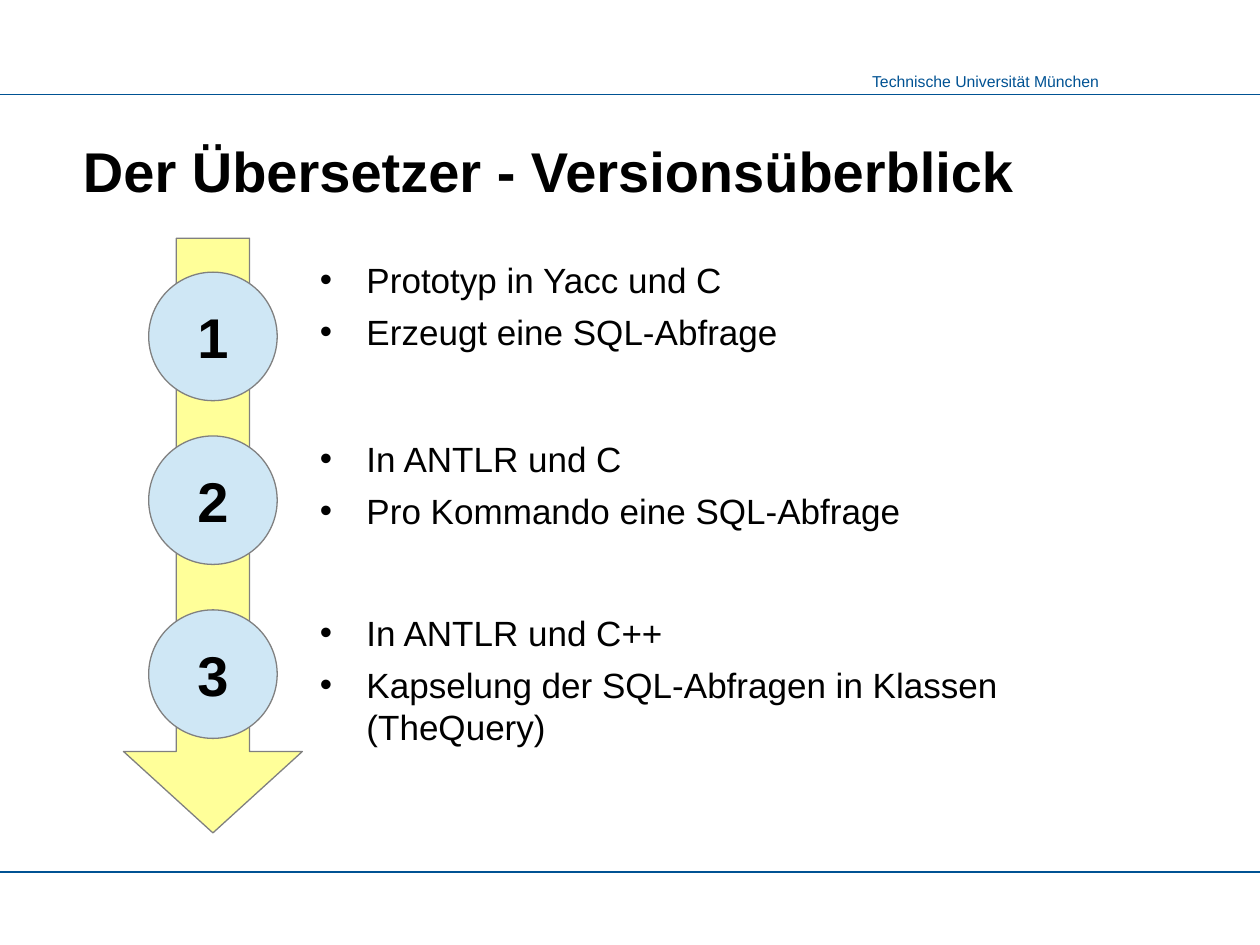
from lxml import etree
from pptx import Presentation
from pptx import util as u
from pptx.dml.color import RGBColor
from pptx.enum import shapes, text
from pptx.oxml import ns

COLOURS = {"blue": "005293", "black": "000000", "yellow": "FFFF99",
           "pale_blue": "CFE7F5", "grey": "808080"}
HEADER_FORMAT = {"name": "Arial", "size": u.Pt(9)}
HEADING_FORMAT = {"name": "Arial", "size": u.Pt(32), "bold": True}
BULLET_FORMAT = {"name": "Arial", "size": u.Pt(20)}

# Top of circle, top of bullet box, bullets
VERSIONS = [
    (2.16, 2.0, ["Prototyp in Yacc und C", "Erzeugt eine SQL-Abfrage"]),
    (3.46, 3.42, ["In ANTLR und C", "Pro Kommando eine SQL-Abfrage"]),
    (4.84, 4.8, ["In ANTLR und C++",
                 "Kapselung der SQL-Abfragen in Klassen (TheQuery)"]),
]


def colour(name):
    return RGBColor.from_string(COLOURS[name])


def set_font(paragraph, font_format, colour_name="black"):
    for attribute, value in font_format.items():
        setattr(paragraph.font, attribute, value)
    paragraph.font.color.rgb = colour(colour_name)


def add_text(slide, box, words, font_format, colour_name="black", wrap=True,
             anchor=text.MSO_ANCHOR.TOP, align=text.PP_ALIGN.LEFT):
    frame = slide.shapes.add_textbox(*map(u.Inches, box)).text_frame
    frame.word_wrap = wrap
    frame.vertical_anchor = anchor
    paragraph = frame.paragraphs[0]
    paragraph.text = words
    paragraph.alignment = align
    set_font(paragraph, font_format, colour_name)


def add_filled_shape(slide, kind, box, fill):
    shape = slide.shapes.add_shape(kind, *map(u.Inches, box))
    shape.shadow.inherit = False
    shape.fill.solid()
    shape.fill.fore_color.rgb = colour(fill)
    shape.line.color.rgb = colour("grey")
    shape.line.width = u.Pt(0.75)
    return shape


def add_rule(slide, left, top, width):
    rule = slide.shapes.add_connector(
        shapes.MSO_CONNECTOR.STRAIGHT, u.Inches(left), u.Inches(top),
        u.Inches(left + width), u.Inches(top))
    rule.line.color.rgb = colour("blue")
    rule.line.width = u.Pt(0.75)
    etree.SubElement(rule._element.spPr, ns.qn("a:effectLst"))


def add_bullets(slide, box, items):
    frame = slide.shapes.add_textbox(*map(u.Inches, box)).text_frame
    frame.word_wrap = True
    for index, item in enumerate(items):
        paragraph = frame.add_paragraph() if index else frame.paragraphs[0]
        paragraph.text = item
        if index:
            paragraph.space_before = u.Pt(6)
        properties = paragraph._p.get_or_add_pPr()
        properties.set("marL", str(u.Inches(0.37)))
        properties.set("indent", str(u.Inches(-0.37)))
        bullet_font = etree.SubElement(properties, ns.qn("a:buFont"))
        bullet_font.set("typeface", "Arial")
        etree.SubElement(properties, ns.qn("a:buChar")).set("char", "•")
        set_font(paragraph, BULLET_FORMAT)


def add_frame(slide, left, top, width, height):
    """University name and the two rules bounding the content."""
    add_text(slide, (left + 6.81, top - 0.23, 2.01, 0.25),
             "Technische Universität München", HEADER_FORMAT, "blue",
             wrap=False, align=text.PP_ALIGN.RIGHT)
    for rule_top in (top, top + height):
        add_rule(slide, left, rule_top, width)


def add_timeline(slide, left, top, width, height):
    """Arrow with one numbered circle per version."""
    arrow = add_filled_shape(slide, shapes.MSO_SHAPE.DOWN_ARROW,
                             (left, top, width, height), "yellow")
    arrow.adjustments[0] = 0.41
    arrow.adjustments[1] = 0.455
    diameter = 1.02
    circle_left = left + (width - diameter) / 2
    for number, (circle_top, _, _) in enumerate(VERSIONS, start=1):
        circle = add_filled_shape(
            slide, shapes.MSO_SHAPE.OVAL,
            (circle_left, circle_top, diameter, diameter), "pale_blue")
        frame = circle.text_frame
        frame.word_wrap = False
        frame.vertical_anchor = text.MSO_ANCHOR.MIDDLE
        paragraph = frame.paragraphs[0]
        paragraph.text = str(number)
        paragraph.alignment = text.PP_ALIGN.CENTER
        set_font(paragraph, HEADING_FORMAT)


def add_descriptions(slide, left, width, height):
    """Bullet box beside each circle."""
    for _, box_top, items in VERSIONS:
        add_bullets(slide, (left, box_top, width, height), items)


def main():
    presentation = Presentation()
    presentation.slide_width = u.Inches(10)
    presentation.slide_height = u.Inches(7.5)
    slide = presentation.slides.add_slide(presentation.slide_layouts[6])

    add_frame(slide, 0, 0.75, 10, 6.17)
    add_text(slide, (0.56, 0.5, 8.89, 1.17),
             "Der Übersetzer - Versionsüberblick", HEADING_FORMAT,
             anchor=text.MSO_ANCHOR.BOTTOM)
    add_timeline(slide, 0.98, 1.89, 1.42, 4.72)
    add_descriptions(slide, 2.44, 7.01, 1.39)

    presentation.save("out.pptx")


if __name__ == "__main__":
    main()
